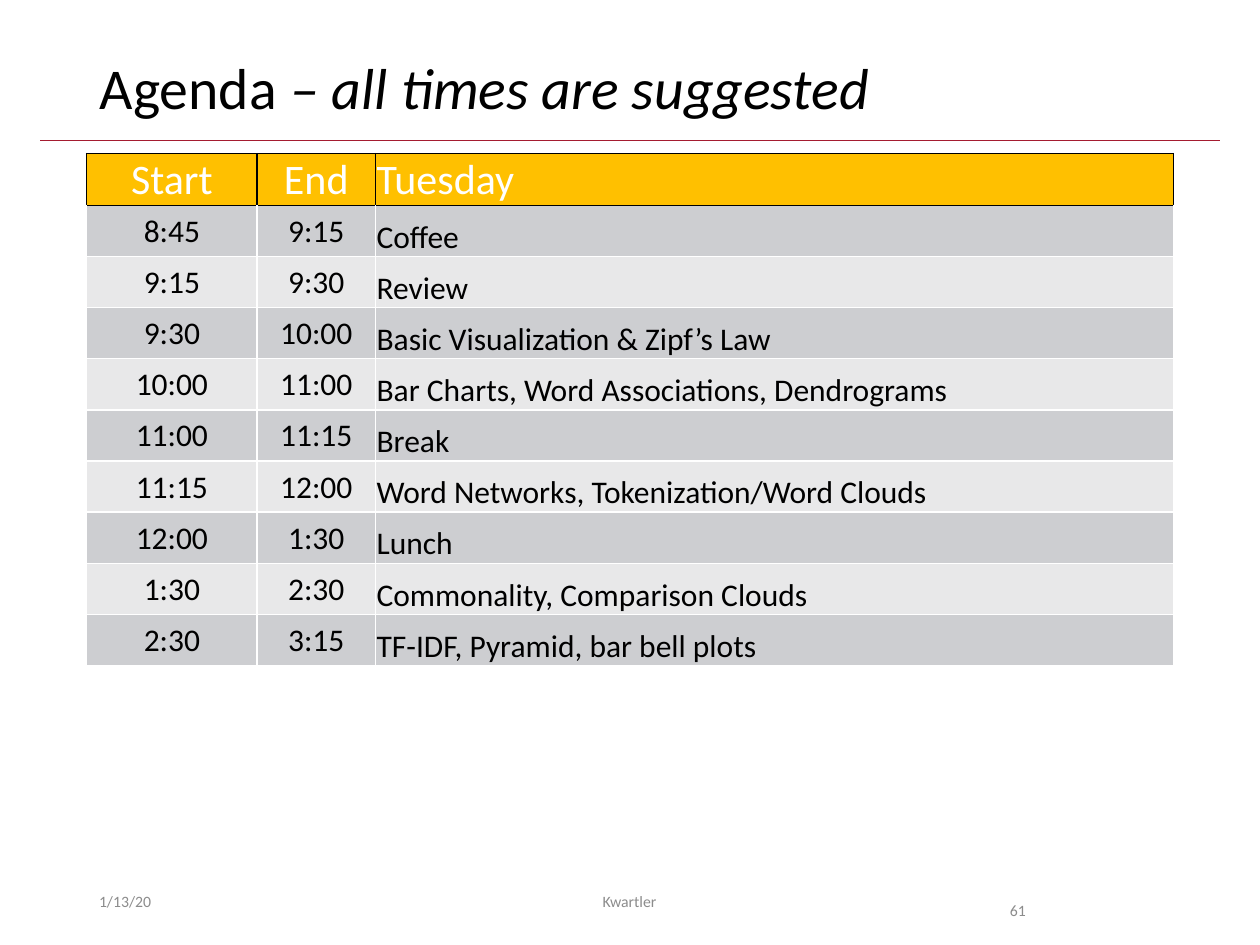
from collections import namedtuple
from dataclasses import dataclass

from lxml.etree import SubElement
from pptx import Presentation
from pptx.dml.color import RGBColor as Color
from pptx.enum.text import MSO_ANCHOR as Anchor, PP_ALIGN as Align
from pptx.oxml.ns import qn
from pptx.util import Pt

Box = namedtuple("Box", "left top width height")


@dataclass(frozen=True)
class Theme:
    font: str = "Calibri"
    ink: str = "000000"
    paper: str = "FFFFFF"
    rule: str = "A51C30"
    header: str = "FFC000"
    bands: tuple = ("CDCED1", "E8E8E9")
    muted: str = "8C8C8C"
    title_size: float = 33
    header_size: float = 24
    body_size: float = 18
    footer_size: float = 9


THEME = Theme()

AGENDA = [
    ("Start", "End", "Tuesday"),
    ("8:45", "9:15", "Coffee"),
    ("9:15", "9:30", "Review"),
    ("9:30", "10:00", "Basic Visualization & Zipf’s Law"),
    ("10:00", "11:00", "Bar Charts, Word Associations, Dendrograms"),
    ("11:00", "11:15", "Break"),
    ("11:15", "12:00", "Word Networks, Tokenization/Word Clouds"),
    ("12:00", "1:30", "Lunch"),
    ("1:30", "2:30", "Commonality, Comparison Clouds"),
    ("2:30", "3:15", "TF-IDF, Pyramid, bar bell plots"),
]


def apply(target, values):
    for name, value in values.items():
        setattr(target, name, value)


def add_span(para, text, size, color, italic=False):
    span = para.add_run()
    span.text = text
    apply(span.font, {"name": THEME.font, "size": Pt(size), "italic": italic})
    span.font.color.rgb = Color.from_string(color)


def add_text(page, box, spans, size, color, anchor=Anchor.MIDDLE,
             align=Align.LEFT, spacing=1.0):
    frame = page.shapes.add_textbox(*map(Pt, box)).text_frame
    apply(frame, {"word_wrap": True, "vertical_anchor": anchor})
    para = frame.paragraphs[0]
    apply(para, {"alignment": align, "line_spacing": spacing})
    for text, italic in spans:
        add_span(para, text, size, color, italic)


def set_borders(cell, colors):
    """Draw 1 pt borders; colors maps each side (L, R, T, B) to a colour."""
    props = cell._tc.get_or_add_tcPr()
    for index, (side, color) in enumerate(colors.items()):
        line = SubElement(props, qn(f"a:ln{side}"), w=str(Pt(1)))
        fill = SubElement(line, qn("a:solidFill"))
        SubElement(fill, qn("a:srgbClr"), val=color)
        props.remove(line)
        props.insert(index, line)  # borders come before the fill


def add_heading(page, box):
    add_text(page, Box(box.left + 27, box.top, box.width - 54, 47),
             [("Agenda ", False), ("– all times are suggested", True)],
             THEME.title_size, THEME.ink, spacing=0.9)

    # Rule under the title
    bottom = box.top + box.height
    rule = page.shapes.add_connector(
        1, Pt(box.left), Pt(bottom), Pt(box.left + box.width), Pt(bottom))
    rule.line.color.rgb = Color.from_string(THEME.rule)
    rule.line.width = Pt(0.5)
    SubElement(rule._element.spPr, qn("a:effectLst"))


def add_agenda(page, box):
    time_widths = (97.5, 67.5)
    widths = (*time_widths, box.width - sum(time_widths))
    table = page.shapes.add_table(len(AGENDA), len(widths), *map(Pt, box)).table
    for column, width in zip(table.columns, widths):
        column.width = Pt(width)

    for r, entry in enumerate(AGENDA):
        table.rows[r].height = Pt(box.height / len(AGENDA))
        is_header = r == 0
        fill = THEME.header if is_header else THEME.bands[(r - 1) % 2]
        size = THEME.header_size if is_header else THEME.body_size
        color = THEME.paper if is_header else THEME.ink
        borders = dict.fromkeys("LRTB", THEME.ink if is_header else THEME.paper)
        if r == 1:
            borders["T"] = THEME.ink  # shared with the header row

        for c, text in enumerate(entry):
            is_topic = c == len(widths) - 1
            cell = table.cell(r, c)
            apply(cell, {
                "margin_left": Pt(0.75), "margin_right": Pt(0.75),
                "margin_top": Pt(0.75), "margin_bottom": Pt(0),
                "vertical_anchor": Anchor.BOTTOM if is_topic and not is_header
                else Anchor.MIDDLE,
            })
            cell.fill.solid()
            cell.fill.fore_color.rgb = Color.from_string(fill)
            set_borders(cell, borders)
            para = cell.text_frame.paragraphs[0]
            para.alignment = Align.LEFT if is_topic else Align.CENTER
            add_span(para, text, size, color)


def add_footer(page, box):
    # Date, author and page number: text, offset, width, format
    parts = [
        ("1/13/20", 0, 162, {}),
        ("Kwartler", 188.5, 243.5, {"align": Align.CENTER}),
        ("61", 520.5, 67.5, {"anchor": Anchor.TOP, "spacing": 2.0}),
    ]
    for text, offset, width, style in parts:
        add_text(page, Box(box.left + offset, box.top, width, box.height),
                 [(text, False)], THEME.footer_size, THEME.muted, **style)


def main():
    deck = Presentation()
    apply(deck, {"slide_width": Pt(720), "slide_height": Pt(540)})
    page = deck.slides.add_slide(deck.slide_layouts[6])
    add_heading(page, Box(23, 28.5, 674, 52))
    add_agenda(page, Box(49.5, 87.75, 621, 292.5))
    add_footer(page, Box(49.5, 500.5, 621, 28.75))
    deck.save("out.pptx")


if __name__ == "__main__":
    main()
